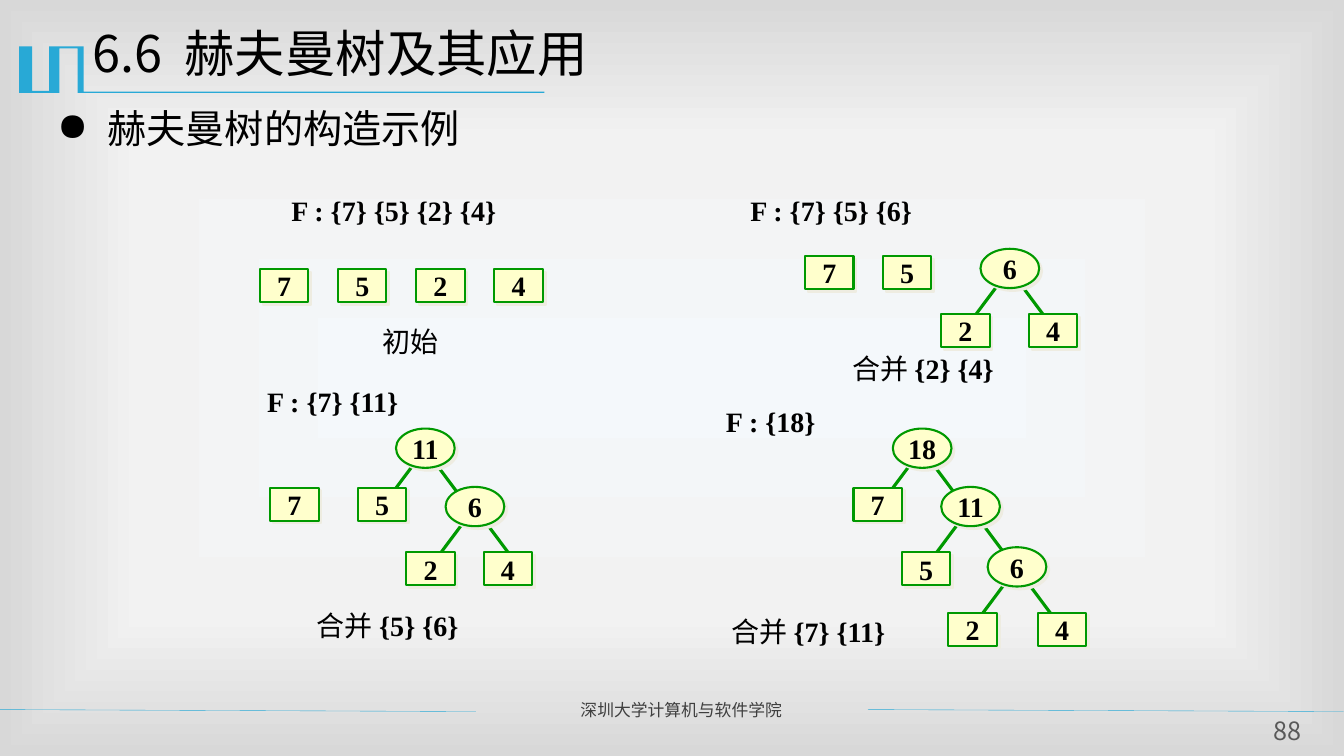
"""Build the slide that shows the construction of a Huffman tree in four stages."""
from lxml import etree
from pptx import Presentation
from pptx.dml.color import RGBColor
from pptx.enum.shapes import MSO_CONNECTOR, MSO_SHAPE
from pptx.enum.text import MSO_ANCHOR, PP_ALIGN
from pptx.oxml import parse_xml
from pptx.oxml.ns import nsdecls, qn
from pptx.util import Cm, Pt

SANS, SERIF = "Noto Sans CJK SC", "Times New Roman"
BLUE, GREEN, YELLOW, BLACK = "28A9D6", "009900", "FFFFCC", "000000"


def color(value):
    return RGBColor.from_string(value)


def write(shape, runs, align, anchor, spacing, margins, wrap, **font_format):
    frame = shape.text_frame
    frame.word_wrap = wrap
    frame.vertical_anchor = anchor
    for side, margin in zip(("left", "top", "right", "bottom"), margins):
        setattr(frame, f"margin_{side}", Cm(margin))
    paragraph = frame.paragraphs[0]
    paragraph.alignment, paragraph.line_spacing = align, spacing
    for text, bold in runs:
        run = paragraph.add_run()
        run.text = text
        for name, value in {**font_format, "bold": bold}.items():
            if name == "color":
                run.font.color.rgb = color(value)
            else:
                setattr(run.font, name, value)
        east_asian = etree.SubElement(run.font._element, qn("a:ea"))
        east_asian.set("typeface", SANS)
    return paragraph


presentation = Presentation()
presentation.slide_width, presentation.slide_height = Cm(33.87), Cm(19.05)
slide = presentation.slides.add_slide(presentation.slide_layouts[6])
shapes = slide.shapes

slide.background.fill.gradient()
gradient = next(slide._element.iter(qn("a:gradFill")))
stops = "".join(
    f'<a:gs pos="{position}"><a:srgbClr val="{value}"/></a:gs>'
    for position, value in ((0, "F4F8FB"), (63000, "F2F2F2"), (100000, "D8D8D8"))
)
gradient.getparent().replace(gradient, parse_xml(
    f'<a:gradFill {nsdecls("a")} rotWithShape="1"><a:gsLst>{stops}</a:gsLst>'
    '<a:path path="rect"><a:fillToRect l="50000" t="50000" r="50000" b="50000"/>'
    "</a:path></a:gradFill>"
))

ornament_points = [
    (2.08, 1.17), (2.11, 1.17), (2.11, 2.31), (13.72, 2.31), (13.72, 2.34), (1.96, 2.34),
    (1.96, 1.22), (1.5, 1.22), (1.5, 2.34), (0.48, 2.34), (0.48, 1.17), (0.81, 1.17),
    (0.81, 2.29), (1.24, 2.29), (1.24, 1.17),
]
corners = [(Cm(x), Cm(y)) for x, y in ornament_points]
builder = shapes.build_freeform(*corners[0])
builder.add_line_segments(corners[1:], close=True)
ornament = builder.convert_to_shape()
ornament.shadow.inherit = False
ornament.fill.solid()
ornament.fill.fore_color.rgb = color(BLUE)
ornament.line.fill.background()

sans_texts = [
    ("深圳大学计算机与软件学院", 14.38, 17.55, 7.24, 0.76, 12, "3F3F3F", PP_ALIGN.JUSTIFY, True),
    ("赫夫曼树的构造示例", 1.19, 2.64, 30.81, 14.3, 28, BLACK, PP_ALIGN.LEFT, True),
    ("6.6\t赫夫曼树及其应用", 2.08, 0.61, 30.48, 2.21, 36, BLACK, PP_ALIGN.LEFT, True),
    ("88", 31.7, 18.11, 1.5, 0.79, 18, "595959", PP_ALIGN.CENTER, False),
]
paragraphs = []
for text, left, top, width, height, size, text_color, align, inset in sans_texts:
    box = shapes.add_textbox(Cm(left), Cm(top), Cm(width), Cm(height))
    margins = (0.25, 0.13, 0.25, 0.13) if inset else (0, 0, 0, 0)
    paragraphs.append(write(box, [(text, False)], align, MSO_ANCHOR.TOP, 0.9, margins, True,
                            name=SANS, size=Pt(size), color=text_color))

bullet_properties = paragraphs[1]._p.get_or_add_pPr()
bullet_properties.set("marL", str(Cm(1.27)))
bullet_properties.set("indent", str(Cm(-1.27)))
etree.SubElement(bullet_properties, qn("a:buChar")).set("char", "●")
tab_list = etree.SubElement(paragraphs[2]._p.get_or_add_pPr(), qn("a:tabLst"))
tab = etree.SubElement(tab_list, qn("a:tab"))
tab.set("pos", str(Cm(2.32)))
tab.set("algn", "l")

labels = [
    ("", "F : {7} {5} {2} {4}", 6.6, 4.75, 6.65),
    ("", "F : {7} {5} {6}", 18.26, 4.75, 5.38),
    ("", "F : {7} {11}", 6.05, 9.55, 4.67),
    ("", "F : {18}", 17.7, 10.06, 3.45),
    ("初始", "", 9.22, 8.05, 2.26),
    ("合并 ", "{2} {4}", 20.96, 8.71, 4.6),
    ("合并 ", "{5} {6}", 7.47, 15.19, 4.6),
    ("合并 ", "{7} {11}", 17.88, 15.34, 4.98),
]
for caption, forest, left, top, width in labels:
    box = shapes.add_textbox(Cm(left), Cm(top), Cm(width), Cm(1.12))
    runs = [(text, bold) for text, bold in ((caption, False), (forest, True)) if text]
    write(box, runs, PP_ALIGN.CENTER, MSO_ANCHOR.MIDDLE, 1, (0.25, 0.13, 0.25, 0.13), True,
          name=SERIF, size=Pt(20), color=BLACK)

leaves = [(weight, 6.55 + 1.97 * index, 6.78) for index, weight in enumerate("7524")]
leaves += [
    ("7", 20.29, 6.45), ("5", 22.25, 6.45), ("2", 23.72, 7.92), ("4", 25.93, 7.92),
    ("7", 6.81, 12.29), ("5", 9.02, 12.29), ("2", 10.24, 13.92), ("4", 12.19, 13.92),
    ("7", 21.51, 12.29), ("5", 22.73, 13.92), ("2", 23.9, 15.44), ("4", 26.16, 15.44),
]
inner_nodes = [
    ("6", 24.71, 6.27),
    ("11", 9.98, 10.8), ("6", 11.23, 12.27),
    ("18", 22.5, 10.8), ("11", 23.72, 12.27), ("6", 24.89, 13.79),
]

lines = [(-0.03, 17.88, 11.99, 17.93, BLUE, 0.25), (21.87, 17.88, 33.86, 17.93, BLUE, 0.25)]
for weight, left, top in inner_nodes:
    for start, reach in ((0.49, -0.74), (0.97, 0.74)):
        x, y = left + start, top + 0.84
        lines.append((x, y, x + reach, y + 0.99, GREEN, 2.25))
for x1, y1, x2, y2, line_color, line_width in lines:
    connector = shapes.add_connector(MSO_CONNECTOR.STRAIGHT, Cm(x1), Cm(y1), Cm(x2), Cm(y2))
    connector.line.color.rgb = color(line_color)
    connector.line.width = Pt(line_width)
    etree.SubElement(connector._element.spPr, qn("a:effectLst"))

node_kinds = [
    (MSO_SHAPE.RECTANGLE, leaves, 1.22, 0.83),
    (MSO_SHAPE.OVAL, inner_nodes, 1.48, 0.99),
]
for preset, nodes, width, height in node_kinds:
    for weight, left, top in nodes:
        node = shapes.add_shape(preset, Cm(left), Cm(top), Cm(width), Cm(height))
        node.fill.solid()
        node.fill.fore_color.rgb = color(YELLOW)
        node.line.color.rgb = color(GREEN)
        node.line.width = Pt(1.5)
        node._element.spPr.append(parse_xml(
            f'<a:effectLst {nsdecls("a")}><a:outerShdw dist="{Pt(2.8)}" dir="2700000" '
            'algn="ctr" rotWithShape="0"><a:srgbClr val="EEECE1"/></a:outerShdw></a:effectLst>'
        ))
        write(node, [(weight, True)], PP_ALIGN.CENTER, MSO_ANCHOR.MIDDLE, 1, (0, 0, 0, 0), False,
              name=SERIF, size=Pt(20), color=BLACK)

presentation.save("out.pptx")
